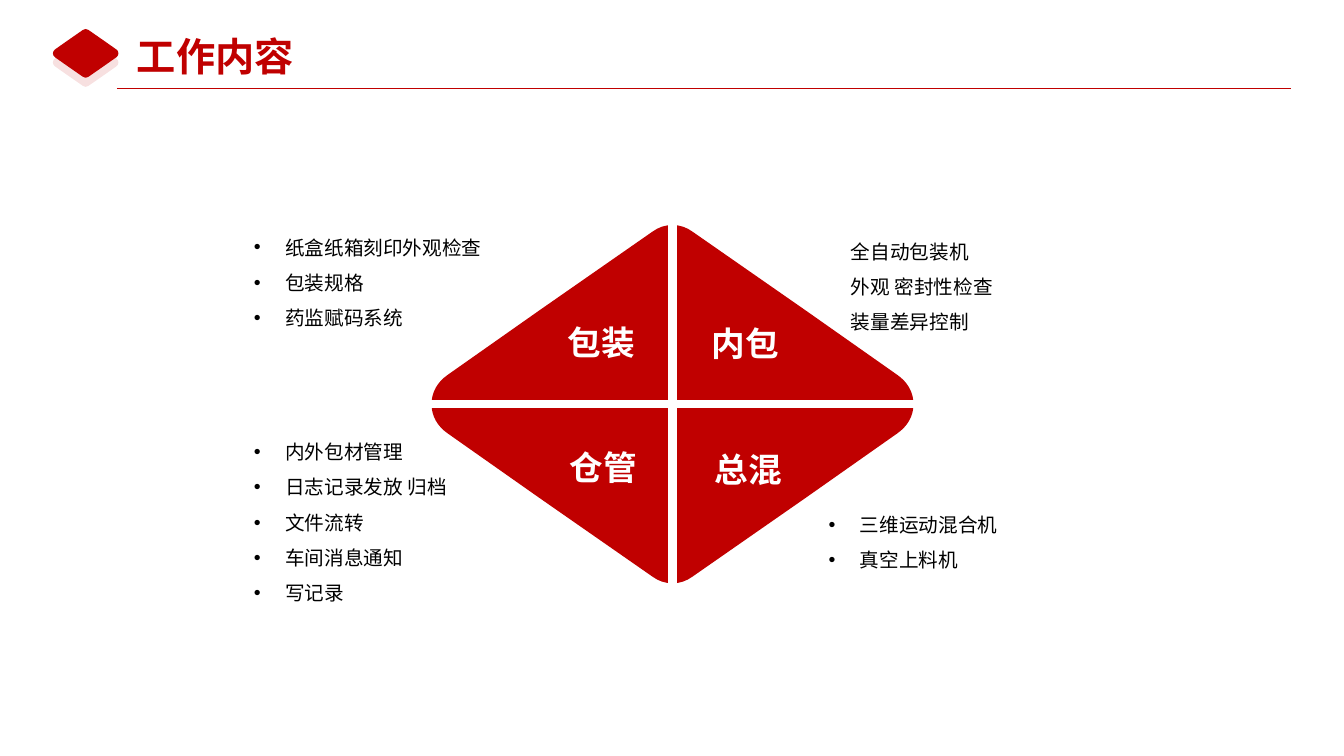
from dataclasses import dataclass

from lxml.etree import SubElement
from pptx import Presentation
from pptx.dml.color import RGBColor
from pptx.enum.shapes import MSO_CONNECTOR
from pptx.enum.text import MSO_AUTO_SIZE
from pptx.oxml.ns import qn
from pptx.util import Inches, Pt

RED = RGBColor(0xC0, 0x00, 0x00)
WHITE = RGBColor(0xFF, 0xFF, 0xFF)
BLACK = RGBColor(0x00, 0x00, 0x00)
HEADING_FONT = "Arial"
BODY_FONT = "Noto Sans CJK SC"
BULLET_INDENT = Inches(0.31)

Point = tuple[float, float]

# Right half of the diamond around its centre: three Bézier points per curve.
TOP_END: Point = (0.2, -1.71)
RIGHT_HALF: list[Point] = [
    *[(1.32, -0.93)] * 3,
    *[(2.23, -0.29)] * 3,
    (2.33, -0.22), (2.39, -0.12), (2.39, 0),
    (2.39, 0.12), (2.33, 0.22), (2.23, 0.29),
    *[(1.32, 0.93)] * 3,
    *[(0.2, 1.71)] * 3,
    (0.08, 1.8), (-0.08, 1.8), (-0.2, 1.71),
]


@dataclass(frozen=True)
class Label:
    text: str
    left: float
    top: float


@dataclass(frozen=True)
class Notes:
    lines: tuple[str, ...]
    left: float
    top: float
    height: float
    bulleted: bool = True


LABELS = [
    Label("包装", 5.53, 3.14),
    Label("内包", 6.96, 3.15),
    Label("仓管", 5.55, 4.38),
    Label("总混", 6.99, 4.4),
]
NOTES = [
    Notes(("纸盒纸箱刻印外观检查", "包装规格", "药监赋码系统"), 2.42, 2.17, 1.87),
    Notes(("内外包材管理", "日志记录发放 归档", "文件流转", "车间消息通知", "写记录"),
          2.42, 4.2, 2.22),
    Notes(("全自动包装机", "外观 密封性检查", "装量差异控制"), 8.34, 2.21, 1.16, bulleted=False),
    Notes(("三维运动混合机", "真空上料机"), 8.12, 4.92, 0.77),
]


def curve_outline(shape) -> None:
    """Turn every three line segments of a freeform into one cubic curve."""
    outline = next(shape._element.iter(qn("a:path")))
    segments = outline.findall(qn("a:lnTo"))
    for first in range(0, len(segments), 3):
        start, *others = segments[first:first + 3]
        start.tag = qn("a:cubicBezTo")
        for segment in others:
            start.append(segment[0])
            outline.remove(segment)


def add_diamond(shapes, center_x: float, center_y: float, scale: float = 1,
                opacity: int = 100) -> None:
    """Draw a rounded diamond; its left half is the right half turned by 180°."""
    outline = [TOP_END, *RIGHT_HALF, *((-x, -y) for x, y in RIGHT_HALF)]
    points = [(Inches(center_x + x * scale), Inches(center_y + y * scale)) for x, y in outline]
    builder = shapes.build_freeform(*points[0])
    builder.add_line_segments(points[1:], close=True)
    diamond = builder.convert_to_shape()
    curve_outline(diamond)
    diamond.shadow.inherit = False
    diamond.fill.solid()
    diamond.fill.fore_color.rgb = RED
    diamond.line.fill.background()
    if opacity < 100:
        color = diamond._element.spPr.find(qn("a:solidFill")).find(qn("a:srgbClr"))
        SubElement(color, qn("a:alpha")).set("val", str(opacity * 1000))


def add_line(shapes, start: Point, end: Point, color: RGBColor, width: float) -> None:
    line = shapes.add_connector(
        MSO_CONNECTOR.STRAIGHT, *(Inches(value) for value in start + end))
    line.line.color.rgb = color
    line.line.width = Pt(width)
    SubElement(line._element.spPr, qn("a:effectLst"))


def add_bullet(paragraph) -> None:
    properties = paragraph._p.get_or_add_pPr()
    properties.set("marL", str(BULLET_INDENT))
    properties.set("indent", str(-BULLET_INDENT))
    SubElement(properties, qn("a:buFont")).set("typeface", "Arial")
    SubElement(properties, qn("a:buChar")).set("char", "•")


def add_text(shapes, lines: tuple[str, ...], left: float, top: float, width: float,
             height: float, *, size: float, color: RGBColor, font: str,
             bold: bool = False, wrap: bool = False, spacing: float = 1,
             bulleted: bool = False) -> None:
    box = shapes.add_textbox(Inches(left), Inches(top), Inches(width), Inches(height))
    frame = box.text_frame
    frame.word_wrap = wrap
    frame.auto_size = MSO_AUTO_SIZE.SHAPE_TO_FIT_TEXT
    for index, text in enumerate(lines):
        paragraph = frame.add_paragraph() if index else frame.paragraphs[0]
        paragraph.line_spacing = spacing
        if bulleted:
            add_bullet(paragraph)
        run = paragraph.add_run()
        run.text = text
        run.font.size = Pt(size)
        run.font.bold = bold
        run.font.color.rgb = color
        run.font.name = font
        SubElement(run._r.get_or_add_rPr(), qn("a:ea")).set("typeface", BODY_FONT)


def add_header(shapes) -> None:
    emblem = shapes.add_group_shape().shapes
    add_diamond(emblem, 0.85, 0.53, scale=0.136)
    add_diamond(emblem, 0.85, 0.62, scale=0.136, opacity=12)
    add_line(shapes, (1.16, 0.88), (12.8, 0.88), RED, 0.5)
    add_text(shapes, ("工作内容",), 1.26, 0.27, 1.8, 0.57,
             size=28, color=RED, font=HEADING_FONT, bold=True)


def add_quadrants(shapes) -> None:
    quadrants = shapes.add_group_shape().shapes
    add_diamond(quadrants, 6.67, 4.01)
    add_line(quadrants, (4.05, 4.01), (9.24, 4.01), WHITE, 5.75)
    add_line(quadrants, (6.67, 2.04), (6.67, 6.12), WHITE, 5.75)
    for label in LABELS:
        add_text(shapes, (label.text,), label.left, label.top, 0.87, 0.5,
                 size=24, color=WHITE, font=HEADING_FONT, bold=True)


def main() -> None:
    presentation = Presentation()
    presentation.slide_width = Inches(13.33)
    presentation.slide_height = Inches(7.5)
    slide = presentation.slides.add_slide(presentation.slide_layouts[6])
    add_header(slide.shapes)
    add_quadrants(slide.shapes)
    for notes in NOTES:
        add_text(slide.shapes, notes.lines, notes.left, notes.top, 4.22, notes.height,
                 size=14, color=BLACK, font=BODY_FONT, wrap=True, spacing=1.5,
                 bulleted=notes.bulleted)
    presentation.save("out.pptx")


if __name__ == "__main__":
    main()
